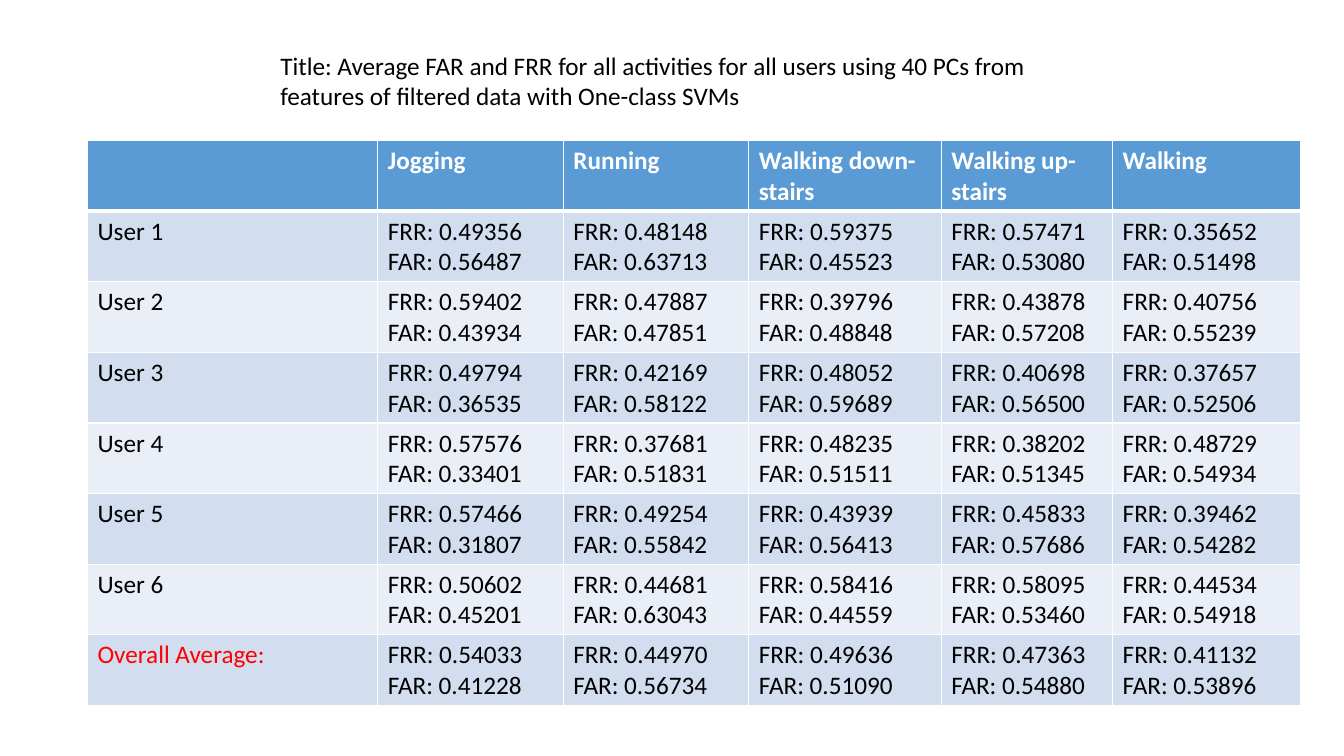
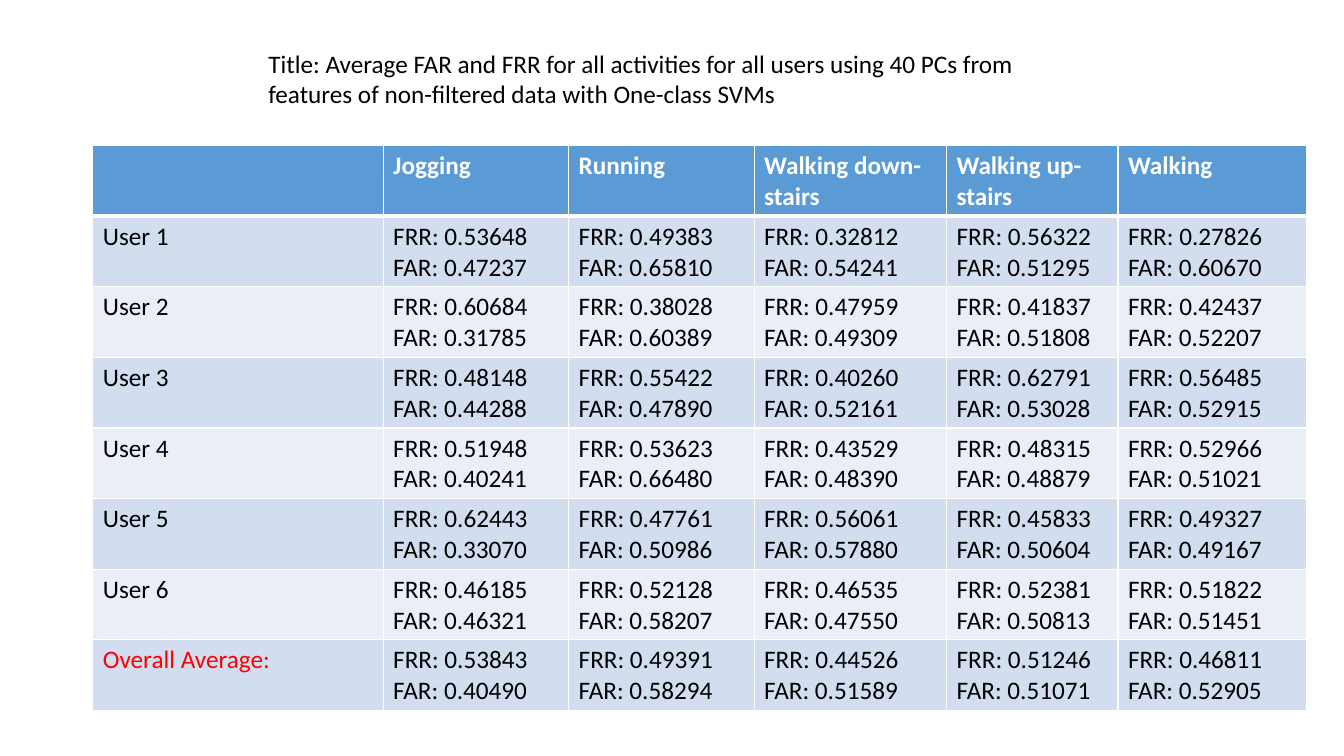
from lxml import etree
from pptx import Presentation
from pptx.dml.color import RGBColor
from pptx.enum.text import MSO_ANCHOR, MSO_AUTO_SIZE, PP_ALIGN
from pptx.oxml.ns import qn
from pptx.util import Pt

TOP, LEFT = MSO_ANCHOR.TOP, PP_ALIGN.LEFT
FIT_SHAPE = MSO_AUTO_SIZE.SHAPE_TO_FIT_TEXT

FONT = "Calibri"
BLACK, WHITE, RED = "000000", "FFFFFF", "FF0000"
HEAD, BANDS = "5B9BD5", ("D2DEEF", "EAEFF7")

HEADS = ["", "Jogging", "Running", "Walking down-stairs", "Walking up-stairs", "Walking"]
NAMES = [f"User {n}" for n in range(1, 7)] + ["Overall Average:"]
WIDTHS = (207.4, 132.5, 132.5, 137.5, 122.4, 134.6)
ROW = 50.4

# Each row holds FRR and FAR pairs, one pair per activity
FILTERED = """
0.49356 0.56487 0.48148 0.63713 0.59375 0.45523 0.57471 0.53080 0.35652 0.51498
0.59402 0.43934 0.47887 0.47851 0.39796 0.48848 0.43878 0.57208 0.40756 0.55239
0.49794 0.36535 0.42169 0.58122 0.48052 0.59689 0.40698 0.56500 0.37657 0.52506
0.57576 0.33401 0.37681 0.51831 0.48235 0.51511 0.38202 0.51345 0.48729 0.54934
0.57466 0.31807 0.49254 0.55842 0.43939 0.56413 0.45833 0.57686 0.39462 0.54282
0.50602 0.45201 0.44681 0.63043 0.58416 0.44559 0.58095 0.53460 0.44534 0.54918
0.54033 0.41228 0.44970 0.56734 0.49636 0.51090 0.47363 0.54880 0.41132 0.53896
"""
RAW = """
0.53648 0.47237 0.49383 0.65810 0.32812 0.54241 0.56322 0.51295 0.27826 0.60670
0.60684 0.31785 0.38028 0.60389 0.47959 0.49309 0.41837 0.51808 0.42437 0.52207
0.48148 0.44288 0.55422 0.47890 0.40260 0.52161 0.62791 0.53028 0.56485 0.52915
0.51948 0.40241 0.53623 0.66480 0.43529 0.48390 0.48315 0.48879 0.52966 0.51021
0.62443 0.33070 0.47761 0.50986 0.56061 0.57880 0.45833 0.50604 0.49327 0.49167
0.46185 0.46321 0.52128 0.58207 0.46535 0.47550 0.52381 0.50813 0.51822 0.51451
0.53843 0.40490 0.49391 0.58294 0.44526 0.51589 0.51246 0.51071 0.46811 0.52905
"""


def color(code):
    return RGBColor.from_string(code)


def write(frame, text, size=18, ink=BLACK, bold=False):
    """Fill a text frame, one paragraph per line of text."""
    for i, line in enumerate(text.split("\n")):
        para = frame.paragraphs[0] if i == 0 else frame.add_paragraph()
        para.alignment = LEFT
        para.font.size = Pt(size)
        if line:
            run = para.add_run()
            run.text = line
            font = run.font
            font.name, font.size, font.bold = FONT, Pt(size), bold
            font.color.rgb = color(ink)


def border(cell, **sides):
    """Draw white cell borders with the given widths in points."""
    props = cell._tc.get_or_add_tcPr()
    for side in "LRTB":
        line = etree.SubElement(props, qn(f"a:ln{side}"), w=str(Pt(sides.get(side, 1))))
        fill = etree.SubElement(line, qn("a:solidFill"))
        etree.SubElement(fill, qn("a:srgbClr"), val=WHITE)


def read_rows(block):
    """Turn a block of figures into rows of cell texts."""
    rows = [HEADS]
    for name, line in zip(NAMES, block.strip().split("\n")):
        nums = line.split()
        pairs = zip(nums[::2], nums[1::2])
        rows.append([name] + [f"FRR: {frr}\nFAR: {far}" for frr, far in pairs])
    return rows


class Deck:
    def __init__(self):
        self.prs = Presentation()
        self.prs.slide_width, self.prs.slide_height = Pt(960), Pt(540)
        self.slide = None

    def start(self):
        self.slide = self.prs.slides.add_slide(self.prs.slide_layouts[5])

    def title(self, text, left, top):
        box = self.slide.shapes.title
        box.left, box.top, box.width, box.height = Pt(left), Pt(top), Pt(585), Pt(51)
        frame = box.text_frame
        frame.word_wrap, frame.auto_size = True, FIT_SHAPE
        frame.vertical_anchor = TOP
        write(frame, text)

    def table(self, rows, left, top):
        shape = self.slide.shapes.add_table(
            len(rows), len(WIDTHS), Pt(left), Pt(top), Pt(sum(WIDTHS)), Pt(ROW * len(rows)))
        grid = shape.table
        grid.horz_banding = False
        for col, width in zip(grid.columns, WIDTHS):
            col.width = Pt(width)
        for r, texts in enumerate(rows):
            grid.rows[r].height = Pt(ROW)
            for c, text in enumerate(texts):
                self.cell(grid.cell(r, c), text, r)

    def cell(self, cell, text, row):
        head = row == 0
        # A thick rule parts the header from the body
        border(cell, B=3 if head else 1, T=3 if row == 1 else 1)
        cell.fill.solid()
        cell.fill.fore_color.rgb = color(HEAD if head else BANDS[(row - 1) % 2])
        ink = WHITE if head else RED if text == NAMES[-1] else BLACK
        write(cell.text_frame, text, ink=ink, bold=head)


def main():
    deck = Deck()
    # Data kind, figures, title corner, table corner
    pages = (
        ("filtered", FILTERED, (193, 32.4), (62.5, 100.4)),
        ("non-filtered", RAW, (184.5, 31), (66.3, 104)),
    )
    for kind, block, head, body in pages:
        deck.start()
        deck.title("Title: Average FAR and FRR for all activities for all users using "
                   f"40 PCs from features of {kind} data with One-class SVMs", *head)
        deck.table(read_rows(block), *body)
    deck.prs.save("out.pptx")


if __name__ == "__main__":
    main()
